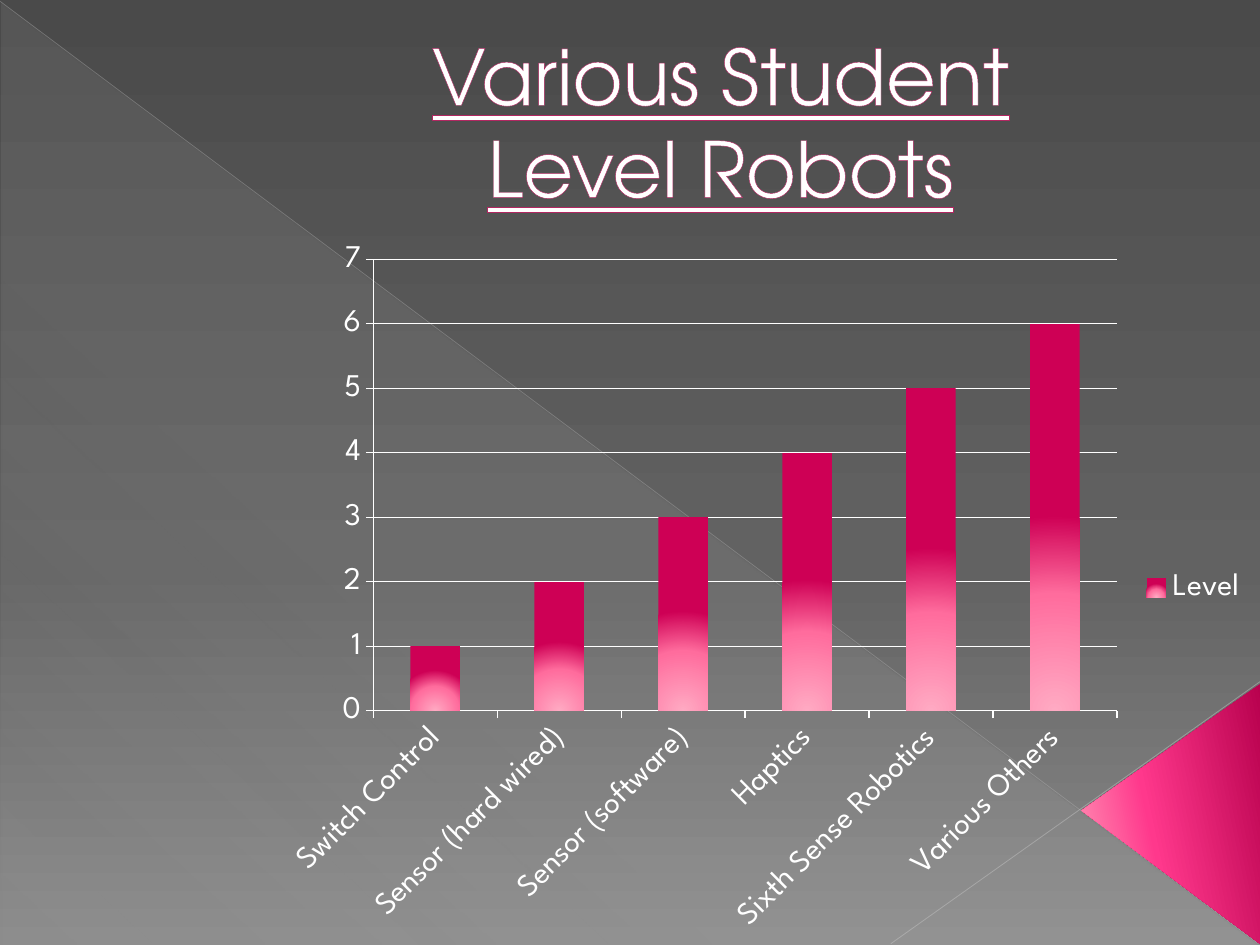
import pptx
import pptx.chart.data
import pptx.dml.color
import pptx.enum.chart
import pptx.enum.shapes
import pptx.enum.text
import pptx.oxml
import pptx.oxml.ns
import pptx.util
from pptx.util import Inches

COLORS = {
    "white": "FFFFFF", "outline": "B12761",
    "dark": "4A4A4A", "gray": "626262", "light": "8C8C8C",
    "veil": "D2D2D2", "diagonal": "BFBFBF", "crossing": "C6C6C6",
    "crimson": "B8014E", "pink": "FF388C", "blush": "FF9CB9",
    "bar_base": "FFAAC3", "bar_middle": "FF6C9D", "bar_top": "CE0055",
}
TITLE_FONT = "TeX Gyre Adventor"
CHART_FONT = "League Spartan"
NAMESPACE = pptx.oxml.ns.nsdecls("a")
LINEAR = '<a:lin ang="{}" scaled="0"/>'
FROM_BASE = ('<a:path path="circle"><a:fillToRect l="50000" t="100000" '
             'r="50000" b="0"/></a:path>')


def rgb(name):
    return pptx.dml.color.RGBColor.from_string(COLORS[name])


def color_xml(name, opacity=100):
    return (f'<a:srgbClr val="{COLORS[name]}">'
            f'<a:alpha val="{opacity * 1000}"/></a:srgbClr>')


def set_gradient(fill, parent, stops, direction):
    """Fill with (position, color, opacity) stops."""
    fill.gradient()
    old = parent.find(pptx.oxml.ns.qn("a:gradFill"))
    stop_xml = "".join(
        f'<a:gs pos="{position * 1000}">{color_xml(name, opacity)}</a:gs>'
        for position, name, opacity in stops)
    new = pptx.oxml.parse_xml(
        f'<a:gradFill {NAMESPACE} rotWithShape="1"><a:gsLst>{stop_xml}'
        f'</a:gsLst>{direction}</a:gradFill>')
    parent.replace(old, new)


def add_gradient_shape(page, kind, box, stops, angle):
    shape = page.shapes.add_shape(kind, *map(Inches, box))
    shape.shadow.inherit = False
    shape.line.fill.background()
    set_gradient(shape.fill, shape._element.spPr, stops,
                 LINEAR.format(angle * 60000))
    return shape


def add_thin_line(page, start, end, name, width, opacity):
    line = page.shapes.add_connector(
        pptx.enum.shapes.MSO_CONNECTOR.STRAIGHT, *map(Inches, start + end))
    line.line.width = pptx.util.Pt(width)
    line.line.color.rgb = rgb(name)
    solid = line.line._ln.find(pptx.oxml.ns.qn("a:solidFill"))
    solid.replace(solid[0], pptx.oxml.parse_xml(
        color_xml(name, opacity).replace("<a:srgbClr", f"<a:srgbClr {NAMESPACE}", 1)))
    line._element.spPr.append(
        pptx.oxml.parse_xml(f"<a:effectLst {NAMESPACE}/>"))


def add_backdrop(page):
    shapes = pptx.enum.shapes.MSO_SHAPE
    fill = page.background.fill
    fill.gradient()
    set_gradient(fill, page._element.cSld.bg.bgPr,
                 [(0, "dark", 100), (60, "gray", 100), (100, "light", 100)],
                 LINEAR.format(90 * 60000))
    # Pale veil with its two edges
    add_gradient_shape(page, shapes.RIGHT_TRIANGLE, (0.01, 0.02, 9.98, 7.48),
                       [(0, "veil", 10), (70, "veil", 8), (100, "veil", 1)], 133)
    add_thin_line(page, (0, 0.01), (9.99, 7.49), "diagonal", 0.39, 35)
    add_thin_line(page, (10, 5.41), (7.07, 7.49), "crossing", 0.47, 45)
    # Pink corner
    corner = add_gradient_shape(
        page, shapes.ISOSCELES_TRIANGLE, (8.26, 5.75, 2.07, 1.42),
        [(0, "crimson", 100), (60, "pink", 100), (100, "blush", 100)], 258)
    corner.adjustments[0] = 0.513
    corner.rotation = 270


def add_title(page, box, text):
    frame = page.shapes.add_textbox(*map(Inches, box)).text_frame
    frame.word_wrap = True
    frame.vertical_anchor = pptx.enum.text.MSO_ANCHOR.BOTTOM
    para = frame.paragraphs[0]
    para.alignment = pptx.enum.text.PP_ALIGN.CENTER
    para._p.get_or_add_pPr().set("marL", str(Inches(0.53)))
    span = para.add_run()
    span.text = text
    font = span.font
    font.name = TITLE_FONT
    font.size = pptx.util.Pt(44)
    font.underline = True
    font.color.rgb = rgb("white")
    # Colored letter outline
    span._r.get_or_add_rPr().insert(0, pptx.oxml.parse_xml(
        f'<a:ln {NAMESPACE} w="{pptx.util.Pt(0.5)}"><a:solidFill>'
        f'{color_xml("outline")}</a:solidFill></a:ln>'))


def add_level_chart(page, box, levels):
    enums = pptx.enum.chart
    chart_data = pptx.chart.data.CategoryChartData()
    chart_data.categories = list(levels)
    chart_data.add_series("Level", list(levels.values()))
    chart = page.shapes.add_chart(enums.XL_CHART_TYPE.COLUMN_STACKED,
                                  *map(Inches, box), chart_data).chart
    chart.has_title = False
    chart.font.name = CHART_FONT
    chart.font.size = pptx.util.Pt(18)
    chart.font.color.rgb = rgb("white")

    # Legend
    chart.has_legend = True
    chart.legend.position = enums.XL_LEGEND_POSITION.RIGHT
    chart.legend.include_in_layout = False

    # Axes
    values = chart.value_axis
    values.minimum_scale, values.maximum_scale = 0, 7
    values.major_unit = 1
    values.has_major_gridlines = True
    for axis in (chart.category_axis, values):
        axis.major_tick_mark = enums.XL_TICK_MARK.OUTSIDE
        axis.minor_tick_mark = enums.XL_TICK_MARK.NONE
    for part in (chart.category_axis, values, values.major_gridlines):
        part.format.line.color.rgb = rgb("white")
        part.format.line.width = pptx.util.Pt(0.75)

    # Columns
    plot = chart.plots[0]
    plot.vary_by_categories = False
    plot.gap_width = 150
    plot.overlap = 100
    series = plot.series[0]
    fill = series.format.fill
    set_gradient(fill, series._element.spPr,
                 [(0, "bar_base", 100), (60, "bar_middle", 100),
                  (100, "bar_top", 100)], FROM_BASE)


def main():
    deck = pptx.Presentation()
    deck.slide_width, deck.slide_height = Inches(10), Inches(7.5)
    page = deck.slides.add_slide(deck.slide_layouts[6])
    add_backdrop(page)
    add_title(page, (2.08, -0.33, 6.75, 2.07), "Various Student Level Robots")
    add_level_chart(page, (2.17, 1.83, 7.83, 5.67), {
        "Switch Control": 1,
        "Sensor (hard wired)": 2,
        "Sensor (software)": 3,
        "Haptics": 4,
        "Sixth Sense Robotics": 5,
        "Various Others": 6,
    })
    deck.save("out.pptx")


if __name__ == "__main__":
    main()
